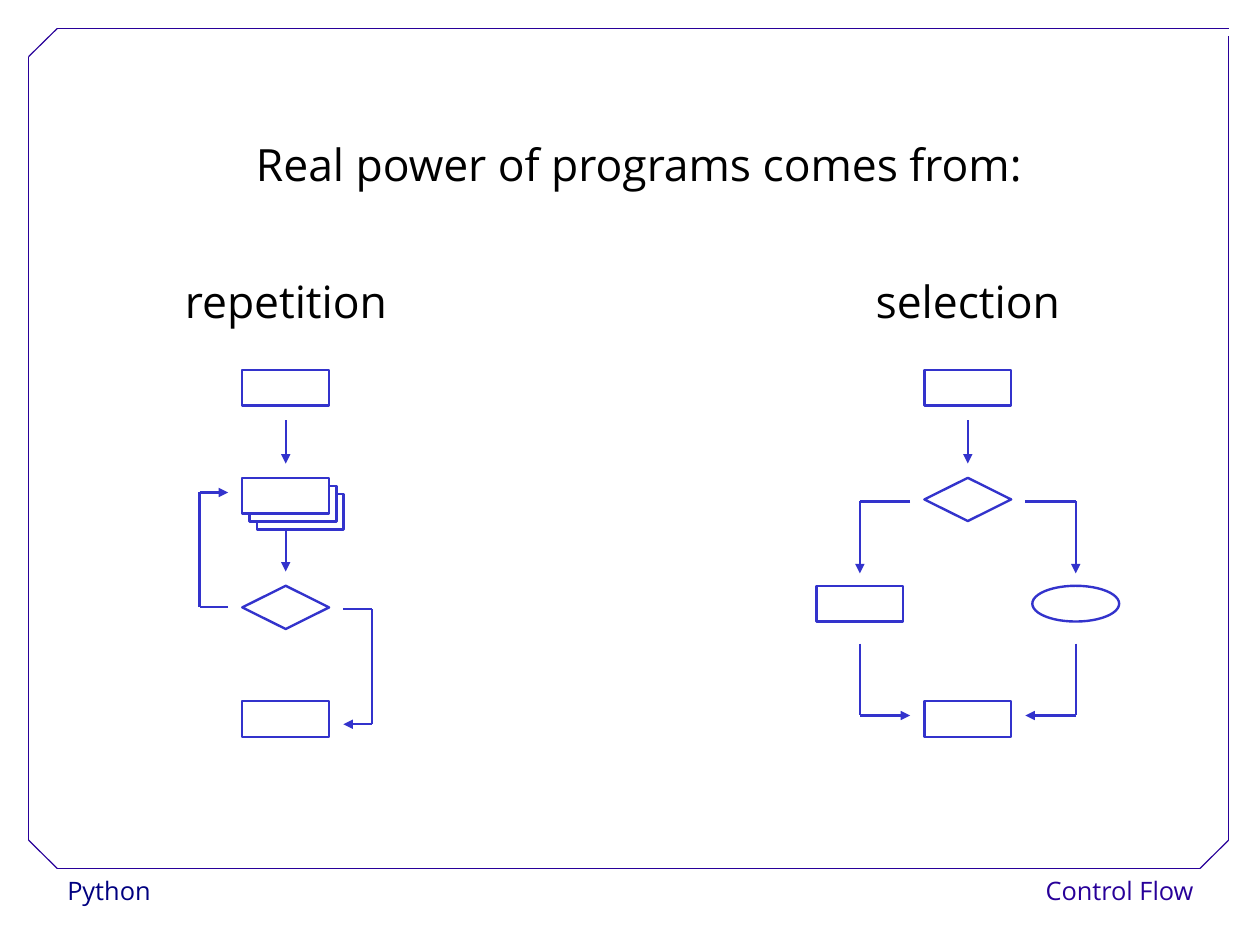
from dataclasses import dataclass

from lxml import etree
from pptx import Presentation
from pptx.dml.color import RGBColor
from pptx.enum.shapes import MSO_CONNECTOR, MSO_SHAPE
from pptx.enum.text import MSO_ANCHOR, MSO_AUTO_SIZE, PP_ALIGN
from pptx.oxml.ns import qn
from pptx.shapes.shapetree import GroupShapes, SlideShapes
from pptx.text.text import TextFrame
from pptx.util import Pt

STRAIGHT = MSO_CONNECTOR.STRAIGHT
RECT, DIAMOND, OVAL = MSO_SHAPE.RECTANGLE, MSO_SHAPE.DIAMOND, MSO_SHAPE.OVAL
LEFT, CENTER, RIGHT = PP_ALIGN.LEFT, PP_ALIGN.CENTER, PP_ALIGN.RIGHT
TOP = MSO_ANCHOR.TOP
NO_FIT = MSO_AUTO_SIZE.NONE

Point = tuple[float, float]


@dataclass(frozen=True)
class Theme:
    font: str = "Open Sans"
    heading_size: float = 28
    label_size: float = 16
    text: RGBColor = RGBColor(0x00, 0x00, 0x00)
    navy: RGBColor = RGBColor(0x00, 0x00, 0x80)
    frame: RGBColor = RGBColor(0x28, 0x00, 0x99)
    chart: RGBColor = RGBColor(0x33, 0x33, 0xCC)
    paper: RGBColor = RGBColor(0xFF, 0xFF, 0xFF)
    frame_width: float = 0.75
    chart_width: float = 1.5


@dataclass(frozen=True)
class TextStyle:
    size: float
    color: RGBColor
    align: PP_ALIGN
    spacing: float


@dataclass(frozen=True)
class Label:
    text: str
    left: float
    top: float
    width: float
    height: float
    style: TextStyle


@dataclass(frozen=True)
class Node:
    """A flowchart symbol, placed by its centre line and top edge."""
    kind: MSO_SHAPE
    center: float
    top: float


@dataclass(frozen=True)
class Route:
    """Straight segments through the points."""
    points: tuple[Point, ...]
    arrow: bool = True


@dataclass(frozen=True)
class Flowchart:
    routes: list[Route]
    nodes: list[Node]


THEME = Theme()
SLIDE_WIDTH, SLIDE_HEIGHT = 793.75, 595.25
HEADING = TextStyle(THEME.heading_size, THEME.text, CENTER, 1.5)
NODE_WIDTH, NODE_HEIGHT, DIAMOND_HEIGHT = 54.7, 22.5, 27.2
ROW_1, ROW_2, ROW_3, ROW_4 = 233, 301, 369, 441.7
LOOP_X, CHOICE_X, BRANCH = 180, 609.7, 68
GAP = 36.3  # from a centre line to the near end of a side route

TITLE = Label("Real power of programs comes from:", 72.7, 66.2, 659.5, 57.6, HEADING)
LABELS = [
    Label("repetition", 72.5, 152.6, 215.3, 57.6, HEADING),
    Label("selection", 508.2, 152.6, 203, 57.6, HEADING),
    Label("Python", 35.3, 547.2, 154.8, 28.8,
          TextStyle(THEME.label_size, THEME.navy, LEFT, 1.02)),
    Label("Control Flow", 640, 547.2, 119, 28.8,
          TextStyle(THEME.label_size, THEME.frame, RIGHT, 1.02)),
]

FRAME = Route(((774, 18), (36, 18), (18, 35.7), (18, 529.2), (36, 547),
               (756, 547), (774, 529.2), (774, 23)), arrow=False)


def down(x: float, start: float, end: float) -> Route:
    return Route(((x, start), (x, end)))


def side_loop(near: float, far: float, start: float, end: float) -> Route:
    return Route(((near, start), (far, start), (far, end), (near, end)))


REPETITION = Flowchart(
    routes=[
        down(LOOP_X, 264.8, 292),
        down(LOOP_X, 332.6, 360),
        side_loop(LOOP_X - GAP, LOOP_X - 54.2, 382.4, 310.2),
        side_loop(LOOP_X + GAP, LOOP_X + 54.4, 383.8, 456.2),
    ],
    nodes=[
        Node(RECT, LOOP_X, ROW_1),
        *(Node(RECT, LOOP_X + 4.6 * i, ROW_2 + 5.1 * i) for i in (2, 1, 0)),
        Node(DIAMOND, LOOP_X, ROW_3),
        Node(RECT, LOOP_X, ROW_4),
    ],
)

SELECTION = Flowchart(
    routes=[down(CHOICE_X, 264.8, 292)] + [
        route
        for side in (-1, 1)
        for near, far in [(CHOICE_X + side * GAP, CHOICE_X + side * BRANCH)]
        for route in (
            Route(((near, 315.8), (far, 315.8), (far, 361.2))),
            Route(((far, 405.4), (far, 450.7), (near, 450.7))),
        )
    ],
    nodes=[
        Node(RECT, CHOICE_X, ROW_1),
        Node(DIAMOND, CHOICE_X, ROW_2),
        Node(RECT, CHOICE_X - BRANCH, ROW_3),
        Node(OVAL, CHOICE_X + BRANCH, ROW_3),
        Node(RECT, CHOICE_X, ROW_4),
    ],
)


def write_text(tf: TextFrame, label: Label) -> None:
    tf.auto_size = NO_FIT
    tf.word_wrap = True
    tf.vertical_anchor = TOP
    tf.text = label.text
    p = tf.paragraphs[0]
    p.alignment = label.style.align
    p.line_spacing = label.style.spacing
    font = p.runs[0].font
    font.name = THEME.font
    font.size = Pt(label.style.size)
    font.color.rgb = label.style.color


def draw_route(shapes: GroupShapes, route: Route, color: RGBColor, width: float) -> None:
    for start, end in zip(route.points, route.points[1:]):
        c = shapes.add_connector(STRAIGHT, *(Pt(v) for v in start + end))
        c.line.color.rgb = color
        c.line.width = Pt(width)
        sp_pr = c.element.spPr
        if route.arrow and end == route.points[-1]:
            etree.SubElement(sp_pr.get_or_add_ln(), qn("a:tailEnd"), type="triangle")
        etree.SubElement(sp_pr, qn("a:effectLst"))


def draw_node(shapes: GroupShapes, node: Node) -> None:
    height = DIAMOND_HEIGHT if node.kind == DIAMOND else NODE_HEIGHT
    sp = shapes.add_shape(node.kind, Pt(node.center - NODE_WIDTH / 2), Pt(node.top),
                          Pt(NODE_WIDTH), Pt(height))
    sp.shadow.inherit = False
    sp.fill.solid()
    sp.fill.fore_color.rgb = THEME.paper
    sp.line.color.rgb = THEME.chart
    sp.line.width = Pt(THEME.chart_width)


def draw_flowchart(shapes: SlideShapes, chart: Flowchart) -> None:
    group = shapes.add_group_shape().shapes
    for route in chart.routes:
        draw_route(group, route, THEME.chart, THEME.chart_width)
    for node in chart.nodes:
        draw_node(group, node)


def main() -> None:
    prs = Presentation()
    prs.slide_width, prs.slide_height = Pt(SLIDE_WIDTH), Pt(SLIDE_HEIGHT)
    s = prs.slides.add_slide(prs.slide_layouts.get_by_name("Title Only"))

    title = s.shapes.title
    title.left, title.top = Pt(TITLE.left), Pt(TITLE.top)
    title.width, title.height = Pt(TITLE.width), Pt(TITLE.height)
    write_text(title.text_frame, TITLE)

    draw_route(s.shapes.add_group_shape().shapes, FRAME, THEME.frame, THEME.frame_width)
    for label in LABELS:
        box = s.shapes.add_textbox(Pt(label.left), Pt(label.top),
                                   Pt(label.width), Pt(label.height))
        write_text(box.text_frame, label)
    for chart in (REPETITION, SELECTION):
        draw_flowchart(s.shapes, chart)

    prs.save("out.pptx")


if __name__ == "__main__":
    main()
